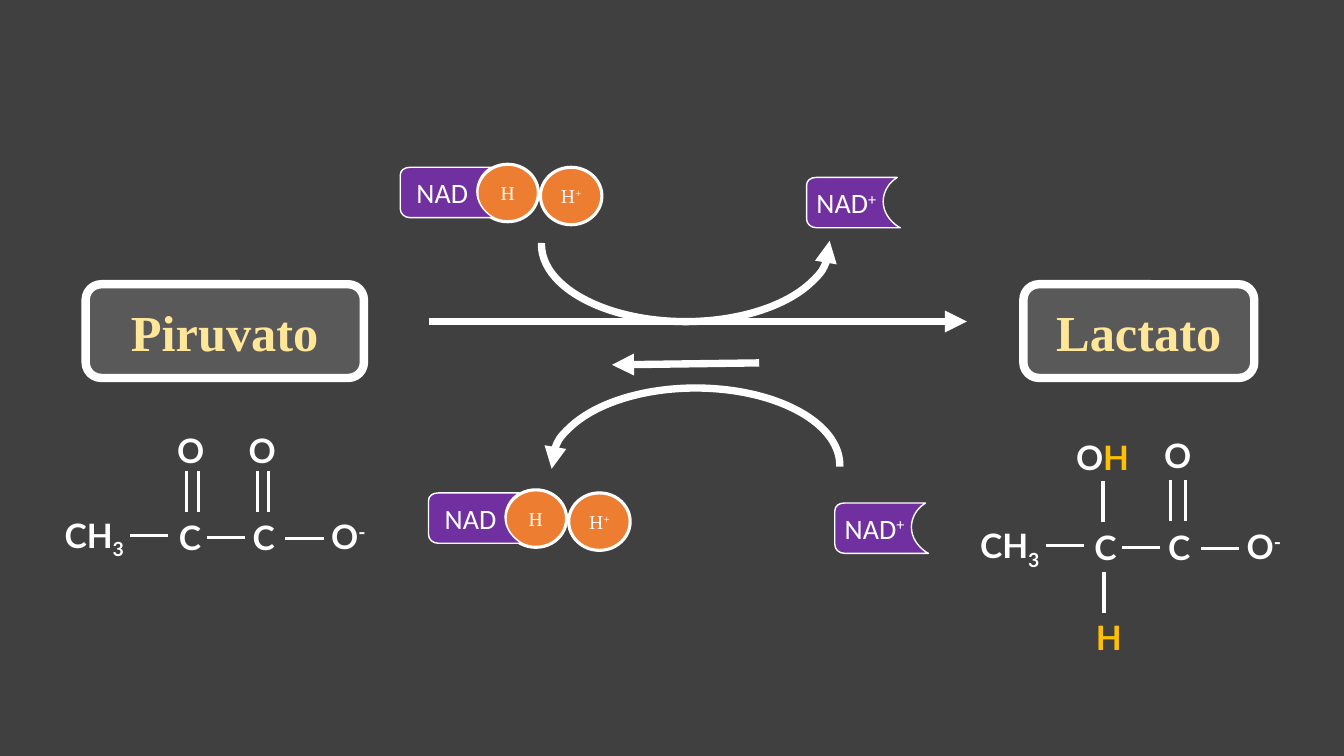
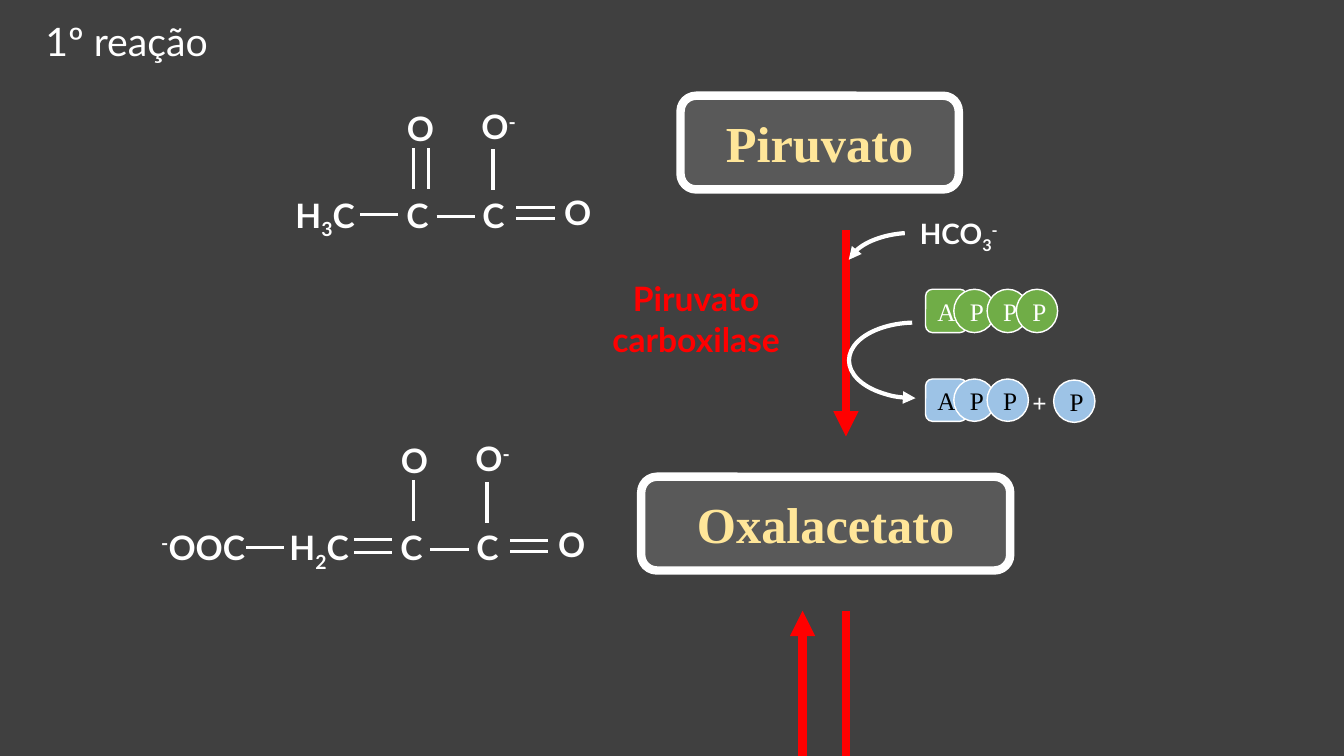
import pptx
import pptx.util
import pptx.dml.color
import pptx.enum.shapes
import pptx.enum.text
import pptx.oxml
import pptx.oxml.ns

Inches = pptx.util.Inches
SHAPE = pptx.enum.shapes.MSO_SHAPE
ANCHOR = pptx.enum.text.MSO_ANCHOR
ALIGN = pptx.enum.text.PP_ALIGN

COLOURS = {name: pptx.dml.color.RGBColor.from_string(value) for name, value in {
    "background": "404040", "box": "595959", "white": "FFFFFF", "black": "000000",
    "cream": "FFE699", "gold": "FFC000", "orange": "ED7D31", "purple": "7030A0",
    "green": "70AD47", "blue": "9DC3E6", "red": "FF0000"}.items()}
SERIF = "Times New Roman"
BOND_X, BOND_Y = 0.38, 0.41
ATOM_HEIGHT = 0.5
BASELINES = {"_": "-25000", "^": "30000"}


def write(shape, text, size, font="Lato", colour="white", bold=False, align=ALIGN.CENTER):
    """Fill a shape; "|" parts runs, led by _ (subscript), ^ (superscript) or * (gold)."""
    frame = shape.text_frame
    frame.word_wrap = True
    for index, line in enumerate(text.split("\n")):
        paragraph = frame.add_paragraph() if index else frame.paragraphs[0]
        paragraph.alignment = align
        paragraph.font.size = pptx.util.Pt(size)
        paragraph.font.name = font
        paragraph.font.bold = bold
        paragraph.font.color.rgb = COLOURS[colour]
        for part in line.split("|"):
            run = paragraph.add_run()
            run.text = part.lstrip("_^*")
            if part[0] in BASELINES:
                run._r.get_or_add_rPr().set("baseline", BASELINES[part[0]])
            elif part[0] == "*":
                run.font.color.rgb = COLOURS["gold"]


def style(shape, width, line="white", fill=None, arrow=None):
    """Set outline, fill and arrowhead ("headEnd" or "tailEnd"), without shadow."""
    shape.line.width = pptx.util.Pt(width)
    shape.line.color.rgb = COLOURS[line]
    if arrow:
        end = pptx.oxml.ns.qn(f"a:{arrow}")
        shape.line._get_or_add_ln().append(shape._element.makeelement(end, {"type": "triangle"}))
    if isinstance(shape, pptx.shapes.connector.Connector):
        effects = pptx.oxml.ns.qn("a:effectLst")
        shape._element.spPr.append(shape._element.makeelement(effects, {}))
        return
    shape.shadow.inherit = False
    if fill:
        shape.fill.solid()
        shape.fill.fore_color.rgb = COLOURS[fill]
        shape.text_frame.vertical_anchor = ANCHOR.MIDDLE
    else:
        shape.fill.background()


prs = pptx.Presentation()
prs.slide_width, prs.slide_height = Inches(13.33), Inches(7.5)
prs.slide_master.background.fill.solid()
prs.slide_master.background.fill.fore_color.rgb = COLOURS["background"]
lactate_slide = prs.slides.add_slide(prs.slide_layouts[6])
pyruvate_slide = prs.slides.add_slide(prs.slide_layouts[5])

# Title
title = pyruvate_slide.shapes.title
title.left, title.top = Inches(0.02), Inches(0.12)
title.width, title.height = Inches(2.47), Inches(0.57)
title.text_frame.vertical_anchor = ANCHOR.TOP
title.text_frame.auto_size = pptx.enum.text.MSO_AUTO_SIZE.NONE
write(title, "1º reação", 28)

# Metabolite boxes
for slide, name, x, y, width in [
        (lactate_slide, "Piruvato", 0.85, 2.82, 2.76),
        (lactate_slide, "Lactato", 10.15, 2.82, 2.29),
        (pyruvate_slide, "Piruvato", 6.75, 0.95, 2.76),
        (pyruvate_slide, "Oxalacetato", 6.36, 4.73, 3.66)]:
    box = slide.shapes.add_shape(
        SHAPE.ROUNDED_RECTANGLE, Inches(x), Inches(y), Inches(width), Inches(0.93))
    style(box, 6, fill="box")
    write(box, name, 36, SERIF, "cream", bold=True)

# Structural formulas: atoms (x, y, width, text), bonds by left or top end
lactate_atoms = [
    (10.56, 4.29, 0.75, "O|*H"), (11.42, 4.27, 0.52, "O"), (10.77, 6.07, 0.39, "*H"),
    (1.63, 4.22, 0.52, "O"), (2.34, 4.22, 0.52, "O")]
lactate_flat = []
lactate_upright = [
    (10.94, 4.77), (11.61, 4.76), (11.76, 4.76), (10.95, 5.67),
    (1.85, 4.67), (1.97, 4.67), (2.55, 4.67), (2.66, 4.67)]
for dx, dy in [(0, 0), (9.08, 0.1)]:
    lactate_atoms += [(x + dx, y + dy, width, text) for x, y, width, text in [
        (0.5, 5.06, 0.87, "CH|_3"), (1.51, 5.08, 0.75, "C"),
        (2.36, 5.08, 0.51, "C"), (3.16, 5.07, 0.59, "O|^-")]]
    lactate_flat += [(x + dx, y + dy) for x, y in [(1.29, 5.31), (2.05, 5.33), (2.83, 5.34)]]

pyruvate_atoms = [
    (2.79, 1.88, 0.87, "H|_3|C"), (2.73, 5.18, 0.87, "H|_2|C"), (1.46, 5.18, 1.11, "^-|OOC")]
pyruvate_flat = [(3.57, 2.13), (3.51, 5.35), (3.51, 5.48), (2.44, 5.43)]
pyruvate_upright = [(4.1, 1.47), (4.25, 1.47), (4.1, 4.76)]
for dx, dy in [(0, 0), (-0.06, 3.3)]:
    pyruvate_atoms += [(x + dx, y + dy, width, text) for x, y, width, text in [
        (3.88, 1.88, 0.52, "C"), (3.91, 1.02, 0.52, "O"), (4.64, 1.88, 0.51, "C"),
        (4.65, 1, 0.59, "O|^-"), (5.47, 1.85, 0.52, "O")]]
    pyruvate_flat += [(x + dx, y + dy) for x, y in [(4.33, 2.15), (5.12, 2.06), (5.12, 2.17)]]
    pyruvate_upright.append((4.89 + dx, 1.48 + dy))

# Lines: slide, start, end, width, colour, arrowhead
lines = [
    (lactate_slide, 4.25, 3.19, 9.59, 3.19, 5.25, "white", "tailEnd"),
    (lactate_slide, 7.53, 3.6, 6.07, 3.62, 5.25, "white", "tailEnd"),
    (pyruvate_slide, 8.39, 2.28, 8.39, 4.33, 6, "red", "tailEnd"),
    (pyruvate_slide, 8.39, 6.06, 8.39, 7.5, 6, "red", None),
    (pyruvate_slide, 7.96, 7.5, 7.96, 6.06, 6, "red", "tailEnd")]
for slide, atoms, flat, upright in [
        (lactate_slide, lactate_atoms, lactate_flat, lactate_upright),
        (pyruvate_slide, pyruvate_atoms, pyruvate_flat, pyruvate_upright)]:
    for x, y, width, text in atoms:
        atom = slide.shapes.add_textbox(
            Inches(x), Inches(y), Inches(width), Inches(ATOM_HEIGHT))
        write(atom, text, 24, bold=True)
    lines += [(slide, x, y, x + BOND_X, y, 2.25, "white", None) for x, y in flat]
    lines += [(slide, x, y, x, y + BOND_Y, 2.25, "white", None) for x, y in upright]
for slide, x1, y1, x2, y2, width, colour, arrow in lines:
    line = slide.shapes.add_connector(
        pptx.enum.shapes.MSO_CONNECTOR.STRAIGHT, Inches(x1), Inches(y1), Inches(x2), Inches(y2))
    style(line, width, colour, arrow=arrow)

# NAD outline: one point is a straight side, three points are a Bezier curve
nad_start = (0.1, 0)
nad_sides = [
    [(0.9, 0)], [(0.86, 0.03)],
    [(0.8, 0.08), (0.76, 0.16), (0.76, 0.24)], [(0.76, 0.34), (0.82, 0.43), (0.91, 0.49)],
    [(0.93, 0.5)], [(0.1, 0.5)], [(0.04, 0.5), (0, 0.46), (0, 0.41)],
    [(0, 0.08)], [(0, 0.03), (0.04, 0), nad_start]]

# NADH + H+ on the left, NAD+ on the right
for x, y, carries_hydrogen in [
        (3.97, 1.66, True), (8, 1.76, False), (4.25, 4.89, True), (8.28, 4.99, False)]:
    hydrogens = [(0.76, -0.03, "H"), (1.39, 0, "H|^+")] if carries_hydrogen else []
    for dx, dy, text in hydrogens:
        hydrogen = lactate_slide.shapes.add_shape(
            SHAPE.OVAL, Inches(x + dx), Inches(y + dy), Inches(0.61), Inches(0.57))
        style(hydrogen, 2.25, fill="orange")
        write(hydrogen, text, 14, SERIF)

    builder = lactate_slide.shapes.build_freeform(
        Inches(x + nad_start[0]), Inches(y + nad_start[1]))
    builder.add_line_segments(
        [(Inches(x + px), Inches(y + py)) for side in nad_sides for px, py in side], close=True)
    nad = builder.convert_to_shape()
    segments = iter(list(nad._element.iter(pptx.oxml.ns.qn("a:lnTo"))))
    for side in nad_sides:
        corners = [next(segments) for point in side]
        if len(corners) == 3:
            bezier = nad._element.makeelement(pptx.oxml.ns.qn("a:cubicBezTo"), {})
            corners[0].addprevious(bezier)
            for corner in corners:
                bezier.append(corner[0])
                corner.getparent().remove(corner)
    style(nad, 1, fill="purple")
    write(nad, " NAD" if carries_hydrogen else "NAD|^+", 20, "Calibri", align=ALIGN.LEFT)

# Curved arrows, with arc ends in 100000ths of the file's angle unit
for slide, x, y, width, height, turn, start, end, weight in [
        (lactate_slide, 5.37, 1.66, 2.86, 1.53, 180, 107.12, 0.37, 5.25),
        (lactate_slide, 5.47, 3.85, 2.86, 1.53, 0, 107.12, 0.37, 5.25),
        (pyruvate_slide, 8.42, 3.2, 1.32, 0.75, 180, 162, 50.98, 3),
        (pyruvate_slide, 8.39, 2.31, 1.32, 0.75, 180, 5.82, 47.06, 3)]:
    curve = slide.shapes.add_shape(
        SHAPE.ARC, Inches(x), Inches(y), Inches(width), Inches(height))
    curve.rotation = turn
    curve.adjustments[0], curve.adjustments[1] = start, end
    style(curve, weight, arrow="headEnd")

# ATP, then ADP + P: adenosine first, phosphates after it
for fill, colour, height, units in [
        ("green", "white", 0.43, [(9.18, 2.87), (9.46, 2.87), (9.79, 2.87), (10.08, 2.87)]),
        ("blue", "black", 0.42, [(9.18, 3.76), (9.46, 3.76), (9.79, 3.76), (10.45, 3.77)])]:
    nucleotide = pyruvate_slide.shapes.add_group_shape()
    for index, (x, y) in enumerate(units):
        unit = nucleotide.shapes.add_shape(
            SHAPE.OVAL if index else SHAPE.ROUNDED_RECTANGLE,
            Inches(x), Inches(y), Inches(0.41), Inches(height))
        style(unit, 1, fill=fill)
        write(unit, "P" if index else "A", 18, SERIF, colour)

# Labels beside the reaction arrow
for text, x, y, width, height, size, font, colour in [
        ("+", 10.14, 3.79, 0.34, 0.26, 18, SERIF, "white"),
        ("HCO|_3|^-", 8.99, 2.1, 1.04, 0.44, 20, "Lato", "white"),
        ("Piruvato\ncarboxilase", 5.19, 2.71, 3.43, 0.91, 24, "Lato", "red")]:
    label = pyruvate_slide.shapes.add_textbox(
        Inches(x), Inches(y), Inches(width), Inches(height))
    write(label, text, size, font, colour, bold=True)

prs.save("out.pptx")
